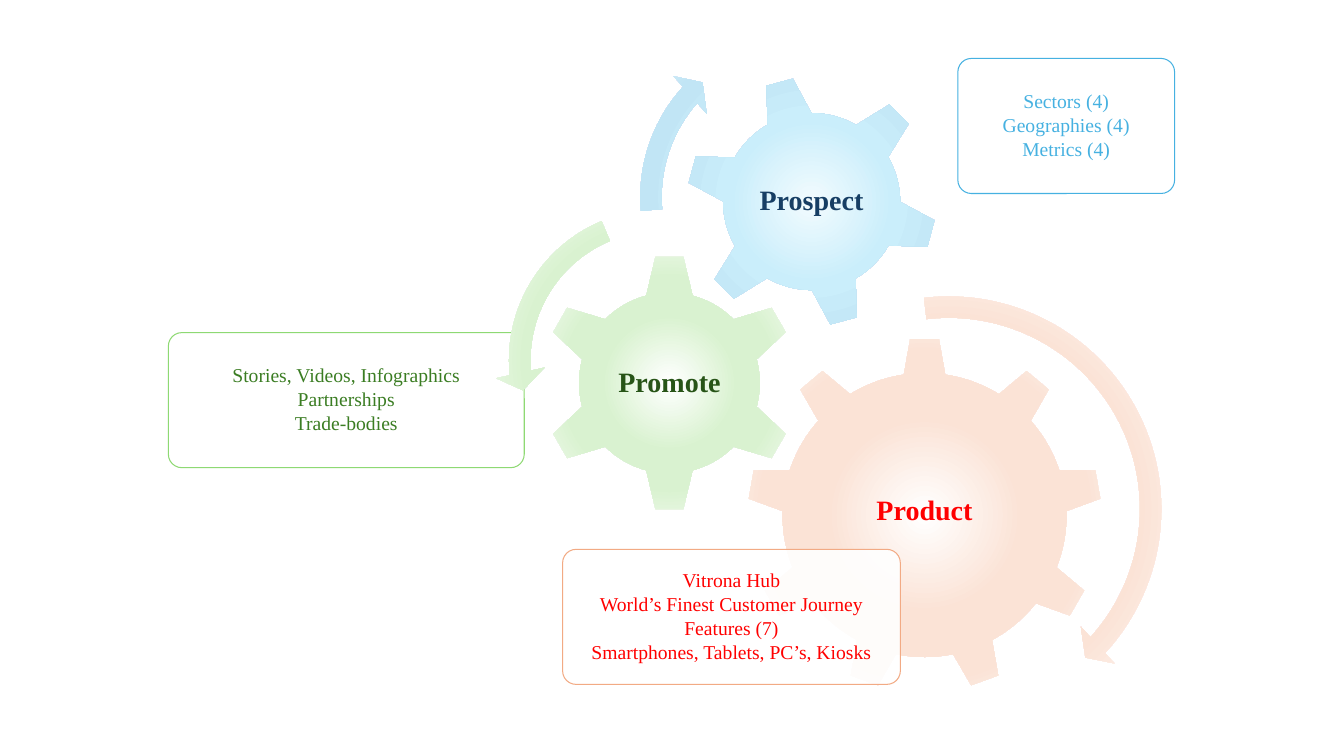
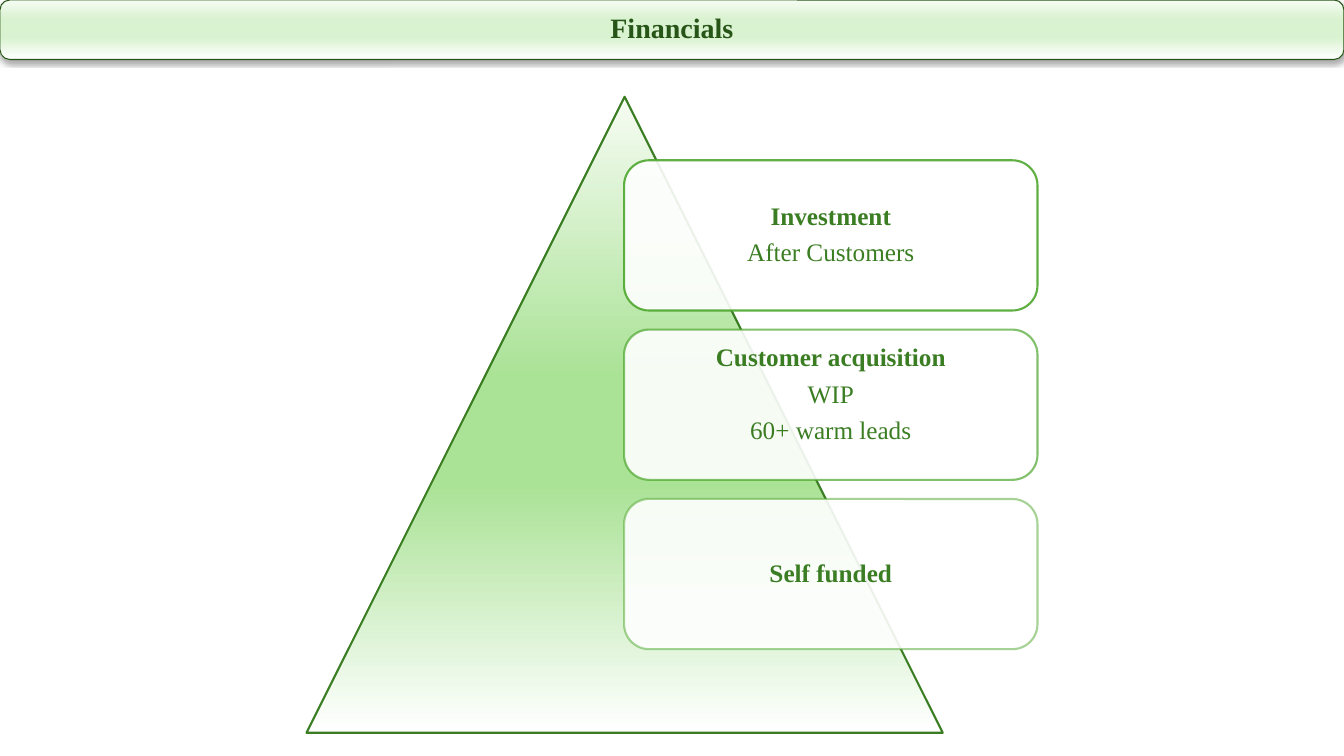
from dataclasses import dataclass

from lxml import etree
from pptx import Presentation
from pptx.dml.color import RGBColor
from pptx.enum.shapes import MSO_SHAPE
from pptx.enum.text import MSO_ANCHOR, PP_ALIGN
from pptx.oxml.ns import qn
from pptx.util import Inches, Pt

GEAR_SIX = MSO_SHAPE.GEAR_6
GEAR_NINE = MSO_SHAPE.GEAR_9
CLOCKWISE = MSO_SHAPE.CIRCULAR_ARROW
COUNTERCLOCKWISE = MSO_SHAPE.LEFT_CIRCULAR_ARROW
ROUNDED = MSO_SHAPE.ROUNDED_RECTANGLE
TRIANGLE = MSO_SHAPE.ISOSCELES_TRIANGLE
CENTER = PP_ALIGN.CENTER
MIDDLE = MSO_ANCHOR.MIDDLE
TOP = MSO_ANCHOR.TOP

FONT = "Times New Roman"
WHITE = "FFFFFF"
BLACK = "000000"
RED = "FF0000"
GREEN = "3B7D23"
DARK_GREEN = "275417"
SLIDE_WIDTH = 13.33
SLIDE_HEIGHT = 7.5
TITLE_LAYOUT = 5
BLANK_LAYOUT = 6
BAND_HEIGHT = 0.59
LABEL_WIDTH = 1.8
LABEL_HEIGHT = 0.6

Stops = list[tuple[int, str]]


@dataclass
class Area:
    left: float
    top: float
    width: float
    height: float


@dataclass
class Gear:
    label: str
    label_color: str
    kind: int
    center_x: float
    center_y: float
    size: float
    rotation: float
    stops: Stops
    label_rise: float = 0


@dataclass
class Note:
    lines: list[str]
    text_color: str
    line_color: str
    area: Area


@dataclass
class Arrow:
    kind: int
    left: float
    top: float
    size: float
    thickness_percent: float
    head_sweep: float
    end_angle: float
    start_angle: float
    head_percent: float
    stops: Stops


@dataclass
class Step:
    heading: str
    details: list[str]
    line_opacity: int
    anchor: int = MIDDLE


PEACH_GEAR = [(0, WHITE), (39, "FBE3D6"), (65, "FBE3D6"), (100, WHITE)]
PEACH_ARROW = [(0, WHITE), (31, "FBE3D6"), (59, "FBE3D6"), (100, WHITE)]
PALE_GREEN = [(0, WHITE), (37, "D9F2D0"), (58, "D9F2D0"), (100, WHITE)]
PALE_BLUE = [(0, "F2FBFE"), (37, "CAEEFB"), (65, "C1E5F5"), (100, WHITE)]
BAND_GREEN = [(0, "F6FCF3"), (32, "D9F2D0"), (62, "D9F2D0"), (100, WHITE)]
PYRAMID_GREEN = [(0, "F6FCF3"), (44, "AAE296"), (61, "AAE296"), (100, WHITE)]

MECHANISM = [
    (
        Gear("Product", RED, GEAR_NINE, 9.17, 5.11, 3.52, 0, PEACH_GEAR, 0.04),
        Note(
            [
                "Vitrona Hub",
                "World’s Finest Customer Journey",
                "Features (7)",
                "Smartphones, Tablets, PC’s, Kiosks",
            ],
            RED, "F2AA84", Area(5.58, 5.45, 3.35, 1.34),
        ),
        Arrow(CLOCKWISE, 7.16, 2.8, 4.5, 4.7, 4.98, 42.42, 263.33, 5.5, PEACH_ARROW),
    ),
    (
        Gear("Promote", DARK_GREEN, GEAR_SIX, 6.64, 3.8, 2.56, 0, PALE_GREEN),
        Note(
            ["Stories, Videos, Infographics", "Partnerships", "Trade-bodies"],
            GREEN, "8ED973", Area(1.67, 3.3, 3.53, 1.34),
        ),
        Arrow(COUNTERCLOCKWISE, 4.91, 1.94, 3.27, 6.5, 7.17, 174.82, 247.3, 7.5, PALE_GREEN),
    ),
    (
        Gear("Prospect", "163E64", GEAR_SIX, 8.05, 2, 2.51, -15, PALE_BLUE),
        Note(
            ["Sectors (4)", "Geographies (4)", "Metrics (4)"],
            "46B1E1", "46B1E1", Area(9.5, 0.58, 2.15, 1.34),
        ),
        Arrow(CLOCKWISE, 6.21, 0.19, 3.53, 6, 6.57, 221.9, 175.14, 7, PALE_BLUE),
    ),
]

STEPS = [
    Step("Investment", ["After Customers"], 90),
    Step("Customer acquisition", ["WIP", "60+ warm leads"], 70, TOP),
    Step("Self funded", [], 50),
]


def rgb(color: str) -> RGBColor:
    return RGBColor.from_string(color)


def add_child(parent, tag: str, **attributes):
    child = etree.SubElement(parent, qn(tag))
    for name, value in attributes.items():
        child.set(name, str(value))
    return child


def set_opacity(element, percent: int) -> None:
    color = next(element.iter(qn("a:srgbClr")))
    add_child(color, "a:alpha", val=percent * 1000)


def fill_gradient(shape, stops: Stops, radial: bool) -> None:
    shape.fill.gradient()
    gradient = shape._element.spPr.find(qn("a:gradFill"))
    for child in list(gradient):
        gradient.remove(child)
    stop_list = add_child(gradient, "a:gsLst")
    for position, color in stops:
        stop = add_child(stop_list, "a:gs", pos=position * 1000)
        add_child(stop, "a:srgbClr", val=color)
    if radial:
        circle = add_child(gradient, "a:path", path="circle")
        add_child(circle, "a:fillToRect", l=50000, t=50000, r=50000, b=50000)
    else:
        add_child(gradient, "a:lin", ang=90 * 60000, scaled=0)


def fill_translucent_white(shape) -> None:
    shape.fill.solid()
    shape.fill.fore_color.rgb = rgb(WHITE)
    set_opacity(shape._element.spPr.find(qn("a:solidFill")), 90)


def outline(shape, color: str, points: float, opacity: int = 100) -> None:
    shape.line.color.rgb = rgb(color)
    shape.line.width = Pt(points)
    if opacity < 100:
        set_opacity(shape._element.spPr.find(qn("a:ln")), opacity)


def place(shape, area: Area) -> None:
    shape.left, shape.top = Inches(area.left), Inches(area.top)
    shape.width, shape.height = Inches(area.width), Inches(area.height)


def add_shape(page, kind: int, area: Area):
    shape = page.shapes.add_shape(
        kind, Inches(area.left), Inches(area.top), Inches(area.width), Inches(area.height)
    )
    shape.shadow.inherit = False
    return shape


def write_lines(
    shape, lines: list[str], size: int, color: str, bold_count: int = 0,
    gap: float = 0, inset: float = 0.1, anchor: int = MIDDLE,
) -> None:
    frame = shape.text_frame
    frame.word_wrap = True
    frame.vertical_anchor = anchor
    frame.margin_left = frame.margin_right = Inches(inset)
    frame.margin_top = frame.margin_bottom = Inches(inset)
    for index, line in enumerate(lines):
        para = frame.add_paragraph() if index else frame.paragraphs[0]
        para.text = line
        para.alignment = CENTER
        para.line_spacing = 0.9
        para.space_before = Pt(0)
        para.space_after = Pt(gap)
        para.font.name = FONT
        para.font.size = Pt(size)
        para.font.bold = index < bold_count
        para.font.color.rgb = rgb(color)


def draw_gear(page, gear: Gear) -> None:
    half = gear.size / 2
    shape = add_shape(
        page, gear.kind,
        Area(gear.center_x - half, gear.center_y - half, gear.size, gear.size),
    )
    shape.rotation = gear.rotation
    fill_gradient(shape, gear.stops, radial=True)
    shape.line.fill.background()
    label = page.shapes.add_textbox(
        Inches(gear.center_x - LABEL_WIDTH / 2),
        Inches(gear.center_y - gear.label_rise - LABEL_HEIGHT / 2),
        Inches(LABEL_WIDTH), Inches(LABEL_HEIGHT),
    )
    write_lines(label, [gear.label], 20, gear.label_color, bold_count=1, inset=0)


def draw_note(page, note: Note) -> None:
    box = add_shape(page, ROUNDED, note.area)
    box.adjustments[0] = 0.1
    fill_translucent_white(box)
    outline(box, note.line_color, 0.75)
    write_lines(box, note.lines, 14, note.text_color, gap=2)


def draw_arrow(page, arrow: Arrow) -> None:
    shape = add_shape(page, arrow.kind, Area(arrow.left, arrow.top, arrow.size, arrow.size))
    shape.adjustments[0] = arrow.thickness_percent / 100
    for index, degrees in enumerate((arrow.head_sweep, arrow.end_angle, arrow.start_angle), 1):
        shape.adjustments[index] = degrees * 0.6
    shape.adjustments[4] = arrow.head_percent / 100
    fill_gradient(shape, arrow.stops, radial=True)
    shape.line.fill.background()


def draw_title(page, title: str) -> None:
    area = Area(0, 0, SLIDE_WIDTH, BAND_HEIGHT)
    band = add_shape(page, ROUNDED, area)
    fill_gradient(band, BAND_GREEN, radial=False)
    outline(band, DARK_GREEN, 0.75)
    effects = band._element.spPr.find(qn("a:effectLst"))
    shadow = add_child(
        effects, "a:outerShdw", blurRad=Pt(3.5), dist=Pt(2.2), dir=90 * 60000, rotWithShape=0
    )
    add_child(shadow, "a:srgbClr", val=BLACK)
    set_opacity(shadow, 32)
    heading = page.shapes.title
    place(heading, area)
    page.shapes._spTree.append(heading._element)
    write_lines(heading, [title], 20, DARK_GREEN, bold_count=1, inset=0.05)


def draw_step(page, step: Step, index: int) -> None:
    box = add_shape(page, ROUNDED, Area(6.19, 1.59 + index * 1.68, 4.1, 1.49))
    fill_translucent_white(box)
    outline(box, "4EA72E", 1.5, step.line_opacity)
    write_lines(
        box, [step.heading, *step.details], 18, GREEN,
        bold_count=1, gap=6.5, inset=0.08, anchor=step.anchor,
    )


def build_mechanism(deck) -> None:
    page = deck.slides.add_slide(deck.slide_layouts[BLANK_LAYOUT])
    for gear, note, arrow in MECHANISM:
        draw_gear(page, gear)
        draw_note(page, note)
        draw_arrow(page, arrow)


def build_financials(deck) -> None:
    page = deck.slides.add_slide(deck.slide_layouts[TITLE_LAYOUT])
    draw_title(page, "Financials")
    pyramid = add_shape(page, TRIANGLE, Area(3.04, 0.96, 6.31, 6.31))
    fill_gradient(pyramid, PYRAMID_GREEN, radial=False)
    outline(pyramid, GREEN, 1.5)
    for index, step in enumerate(STEPS):
        draw_step(page, step, index)


def main() -> None:
    deck = Presentation()
    deck.slide_width = Inches(SLIDE_WIDTH)
    deck.slide_height = Inches(SLIDE_HEIGHT)
    build_mechanism(deck)
    build_financials(deck)
    deck.save("out.pptx")


if __name__ == "__main__":
    main()
